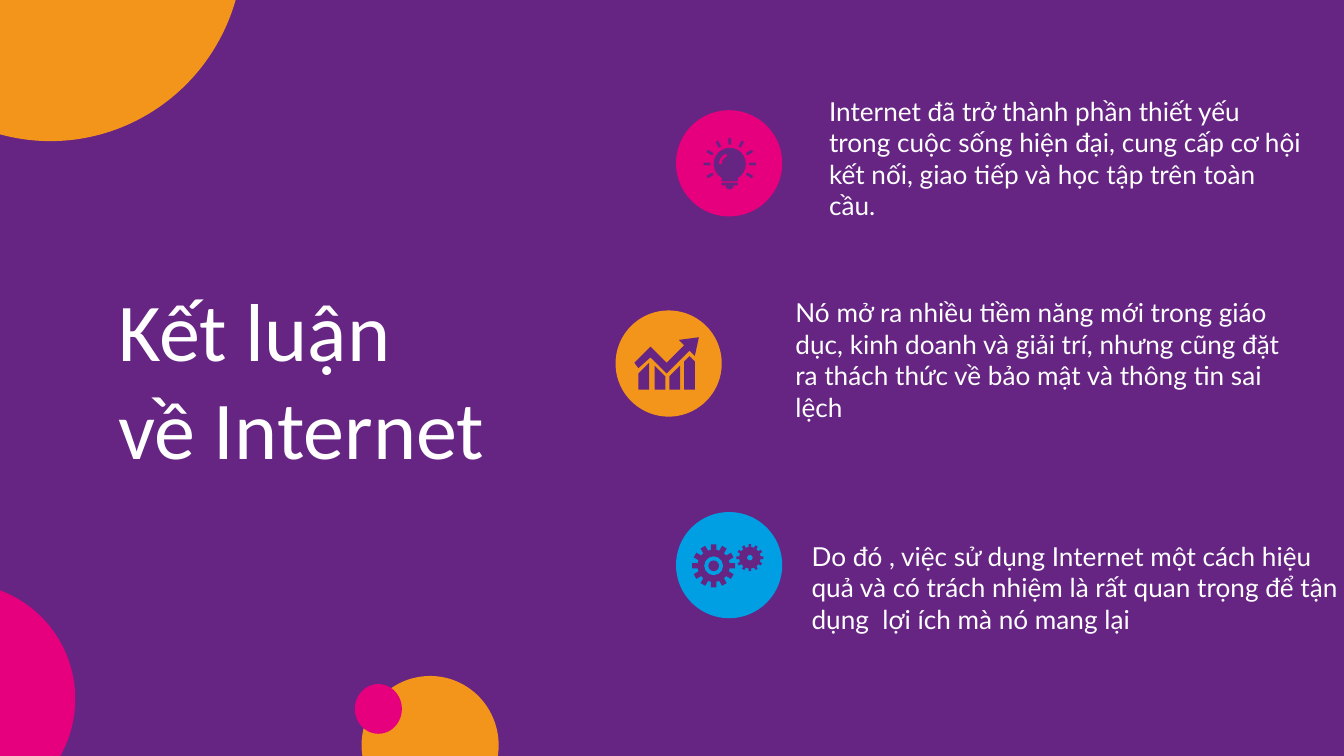
from dataclasses import dataclass
from math import cos, pi, radians, sin, sqrt

from pptx import Presentation
from pptx.dml.color import RGBColor
from pptx.enum import shapes as sh, text as tx
from pptx.util import Inches, Pt

Point = tuple[float, float]


@dataclass(frozen=True)
class Theme:
    purple: str = "662483"
    orange: str = "F4951B"
    pink: str = "E6007E"
    blue: str = "009FE3"
    white: str = "FFFFFF"
    title_font: str = "Calibri"
    body_font: str = "Lato"
    title_size: float = 44
    body_size: float = 14


@dataclass(frozen=True)
class Box:
    left: float
    top: float
    width: float
    height: float


@dataclass(frozen=True)
class Conclusion:
    wording: str
    box: Box
    badge: Box
    badge_color: str


@dataclass(frozen=True)
class Gear:
    x: float
    y: float
    tip: float
    root: float
    half_tooth: float
    hole: float


THEME = Theme()
BADGE = 0.79

CORNER_CIRCLES = [
    (Box(2.69, 5.03, 1.02, 1.03), THEME.orange),
    (Box(-1.15, 4.34, 1.71, 1.72), THEME.pink),
    (Box(-1.06, -1.86, 2.87, 2.91), THEME.orange),
    (Box(2.64, 5.09, 0.35, 0.37), THEME.pink),
]

CONCLUSIONS = [
    Conclusion(
        "Internet đã trở thành phần thiết yếu trong cuộc sống hiện đại, "
        "cung cấp cơ hội kết nối, giao tiếp và học tập trên toàn cầu.",
        Box(6.07, 0.78, 3.72, 0.79), Box(5.03, 0.82, BADGE, BADGE), THEME.pink),
    Conclusion(
        "Nó mở ra nhiều tiềm năng mới trong giáo dục, kinh doanh và giải trí, "
        "nhưng cũng đặt ra thách thức về bảo mật và thông tin sai lệch",
        Box(5.82, 2.28, 3.97, 0.79), Box(4.58, 2.31, BADGE, BADGE), THEME.orange),
    Conclusion(
        "Do đó , việc sử dụng Internet một cách hiệu quả và có trách nhiệm "
        "là rất quan trọng để tận dụng  lợi ích mà nó mang lại",
        Box(5.94, 3.58, 4.12, 1.58), Box(5.03, 3.81, BADGE, BADGE), THEME.blue),
]


def place(shape, box: Box) -> None:
    shape.left, shape.top = Inches(box.left), Inches(box.top)
    shape.width, shape.height = Inches(box.width), Inches(box.height)


def paint(shape, color: str) -> None:
    shape.shadow.inherit = False
    shape.fill.solid()
    shape.fill.fore_color.rgb = RGBColor.from_string(color)
    shape.line.fill.background()


def draw_preset(slide, kind: sh.MSO_SHAPE, box: Box, color: str, angle: float = 0) -> None:
    shape = slide.shapes.add_shape(kind, 0, 0, 0, 0)
    place(shape, box)
    shape.rotation = angle
    paint(shape, color)


def draw_disc(slide, x: float, y: float, radius: float, color: str) -> None:
    box = Box(x - radius, y - radius, 2 * radius, 2 * radius)
    draw_preset(slide, sh.MSO_SHAPE.OVAL, box, color)


def draw_polygon(slide, points: list[Point], color: str) -> None:
    corners = [(Inches(x), Inches(y)) for x, y in points]
    builder = slide.shapes.build_freeform(*corners[0], scale=1)
    builder.add_line_segments(corners[1:], close=True)
    paint(builder.convert_to_shape(), color)


def arc(x: float, y: float, radius: float, start: int, end: int) -> list[Point]:
    """Points every 10 degrees, clockwise from the right, or backwards if end < start."""
    step = 10 if end > start else -10
    return [(x + radius * cos(radians(a)), y + radius * sin(radians(a)))
            for a in range(start, end + step, step)]


def format_text(shape, wording: str, box: Box, font: str, size: float) -> None:
    place(shape, box)
    frame = shape.text_frame
    frame.text = wording
    frame.word_wrap = True
    frame.auto_size = tx.MSO_AUTO_SIZE.NONE
    frame.vertical_anchor = tx.MSO_ANCHOR.MIDDLE
    frame.margin_left = frame.margin_right = Inches(0.1)
    frame.margin_top = frame.margin_bottom = Inches(0.1)
    paragraph = frame.paragraphs[0]
    paragraph.alignment = tx.PP_ALIGN.LEFT
    paragraph.font.name = font
    paragraph.font.size = Pt(size)
    paragraph.font.color.rgb = RGBColor.from_string(THEME.white)


def draw_bulb(slide, badge_color: str) -> None:
    x, y = 5.43, 1.22
    draw_disc(slide, x, y, 0.12, THEME.purple)
    neck = [(5.34, 1.28), (5.52, 1.28), (5.49, 1.32), (5.49, 1.35), (5.37, 1.35), (5.37, 1.32)]
    draw_polygon(slide, neck, THEME.purple)
    glint = arc(x, y, 0.08, 180, 250) + arc(x, y, 0.06, 250, 180)
    draw_polygon(slide, glint, badge_color)
    draw_preset(slide, sh.MSO_SHAPE.ROUNDED_RECTANGLE, Box(5.37, 1.36, 0.12, 0.02), THEME.purple)
    draw_polygon(slide, arc(x, 1.38, 0.03, 0, 180), THEME.purple)
    ray_length, ray_width = 0.05, 0.02
    for angle in range(-210, 31, 30):
        ray_x, ray_y = x + 0.17 * cos(radians(angle)), y + 0.17 * sin(radians(angle))
        ray = Box(ray_x - ray_length / 2, ray_y - ray_width / 2, ray_length, ray_width)
        draw_preset(slide, sh.MSO_SHAPE.ROUNDED_RECTANGLE, ray, THEME.purple, angle)


def draw_growth(slide) -> None:
    bottom = 2.9
    bars = [(4.75, 2.78, 2.7), (4.87, 2.72, 2.8), (4.98, 2.8, 2.72)]
    for left, top_left, top_right in bars:
        right = left + 0.08
        draw_polygon(slide, [(left, top_left), (right, top_right), (right, bottom),
                             (left, bottom)], THEME.purple)
    draw_polygon(slide, [(5.13, 2.65), (5.17, 2.69), (5.17, bottom), (5.09, bottom),
                         (5.09, 2.69)], THEME.purple)
    arrow = [(5.2, 2.51), (5.05, 2.53), (5.09, 2.57), (4.96, 2.7), (4.84, 2.58), (4.72, 2.7),
             (4.75, 2.74), (4.84, 2.66), (4.96, 2.78), (5.13, 2.61), (5.17, 2.65)]
    draw_polygon(slide, arrow, THEME.purple)


def draw_gear(slide, gear: Gear, badge_color: str) -> None:
    w = gear.half_tooth
    root = sqrt(gear.root ** 2 - w ** 2)
    outline = []
    for tooth in range(12):
        c, s = cos(tooth * pi / 6), sin(tooth * pi / 6)
        outline += [(gear.x + r * c - t * s, gear.y + r * s + t * c)
                    for r, t in [(root, -w), (gear.tip, -w), (gear.tip, w), (root, w)]]
    draw_polygon(slide, outline, THEME.purple)
    draw_disc(slide, gear.x, gear.y, gear.hole, badge_color)


def draw_gears(slide, badge_color: str) -> None:
    large = Gear(5.31, 4.21, 0.16, 0.12, 0.02, 0.07)
    small = Gear(5.58, 4.15, 0.1, 0.08, 0.01, 0.02)
    for gear in (large, small):
        draw_gear(slide, gear, badge_color)
    draw_disc(slide, large.x, large.y, 0.04, THEME.purple)


def main() -> None:
    deck = Presentation()
    deck.slide_width = Inches(10)
    deck.slide_height = deck.slide_width * 9 // 16
    slide = deck.slides.add_slide(deck.slide_layouts[5])
    slide.background.fill.solid()
    slide.background.fill.fore_color.rgb = RGBColor.from_string(THEME.purple)

    for circle, color in CORNER_CIRCLES:
        draw_preset(slide, sh.MSO_SHAPE.OVAL, circle, color)
    format_text(slide.shapes.title, "Kết luận về Internet", Box(0.78, 1.86, 2.93, 1.9),
                THEME.title_font, THEME.title_size)
    for item in CONCLUSIONS:
        draw_preset(slide, sh.MSO_SHAPE.OVAL, item.badge, item.badge_color)
        format_text(slide.shapes.add_textbox(0, 0, 0, 0), item.wording, item.box,
                    THEME.body_font, THEME.body_size)
    draw_bulb(slide, THEME.pink)
    draw_growth(slide)
    draw_gears(slide, THEME.blue)
    deck.save("out.pptx")


if __name__ == "__main__":
    main()
